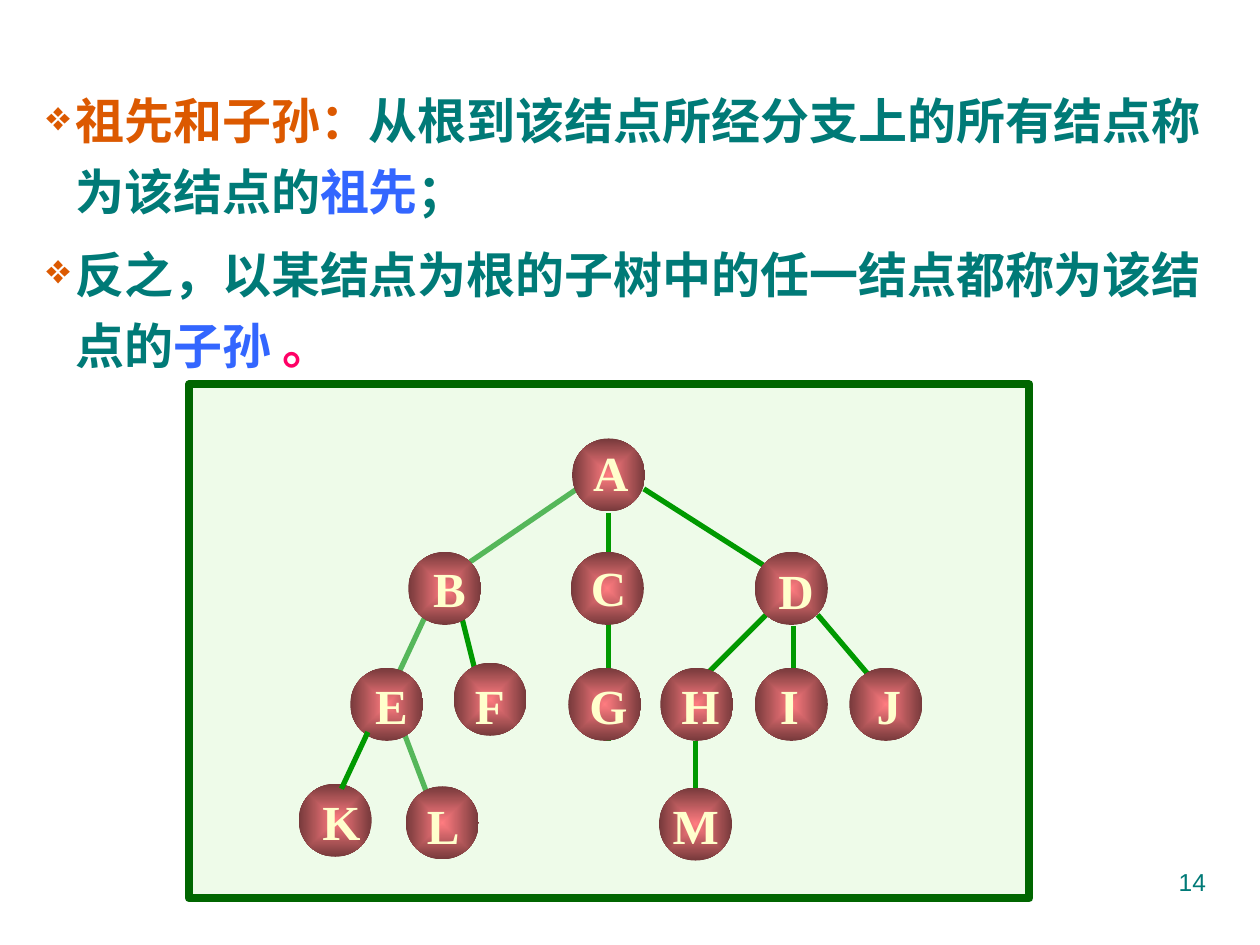
from lxml import etree
from pptx import Presentation
from pptx.dml.color import RGBColor
from pptx.enum.shapes import MSO_CONNECTOR, MSO_SHAPE
from pptx.enum.text import MSO_ANCHOR as Anchor, MSO_AUTO_SIZE as AutoSize, PP_ALIGN as Align
from pptx.oxml import parse_xml
from pptx.oxml.ns import nsdecls, qn
from pptx.util import Inches, Pt

TEAL, ORANGE, BLUE, PINK = "007A77", "DC5900", "3366FF", "FF0066"
GREEN, LIGHT_GREEN = "009900", "55B75A"
NODE_SIZE, LABEL_HEIGHT = 0.58, 0.57

DEFINITIONS = [
    [("祖先和子孙：", ORANGE), ("从根到该结点所经分支上的所有结点称为该结点的", TEAL),
     ("祖先", BLUE), ("；", TEAL)],
    [("反之，以某结点为根的子树中的任一结点都称为该结点的", TEAL),
     ("子孙", BLUE), (" 。", PINK)],
]

# letter: node left, node top, label left, label top, label width
NODES = {
    "A": (4.54, 3.48, 4.61, 3.46, 0.48),
    "B": (3.24, 4.38, 3.34, 4.38, 0.46),
    "C": (4.53, 4.38, 4.59, 4.37, 0.48),
    "D": (5.99, 4.38, 6.08, 4.4, 0.48),
    "E": (2.78, 5.3, 2.88, 5.31, 0.46),
    "F": (3.6, 5.26, 3.67, 5.31, 0.44),
    "G": (4.51, 5.3, 4.58, 5.31, 0.5),
    "H": (5.24, 5.3, 5.31, 5.31, 0.5),
    "I": (5.99, 5.3, 6.09, 5.31, 0.35),
    "J": (6.74, 5.3, 6.86, 5.31, 0.39),
    "K": (2.37, 6.22, 2.46, 6.23, 0.5),
    "L": (3.22, 6.24, 3.29, 6.26, 0.46),
    "M": (5.23, 6.25, 5.24, 6.26, 0.56),
}

EDGES = [
    (6.49, 4.88, 6.99, 5.47, GREEN),
    (6.08, 4.88, 5.58, 5.38, GREEN),
    (6.3, 4.97, 6.3, 5.38, GREEN),
    (5.52, 5.88, 5.52, 6.38, GREEN),
    (5.11, 3.88, 6.16, 4.55, GREEN),
    (4.58, 3.88, 3.73, 4.46, LIGHT_GREEN),
    (4.83, 4.07, 4.83, 5.88, GREEN),
    (3.66, 4.88, 3.81, 5.48, GREEN),
    (3.2, 5.8, 3.39, 6.3, LIGHT_GREEN),
    (3.38, 4.88, 3.17, 5.33, LIGHT_GREEN),
]
FRONT_EDGE = (2.92, 5.81, 2.71, 6.26, GREEN)


def rgb(color):
    return RGBColor.from_string(color)


def add_bullet(p):
    pPr = p._p.get_or_add_pPr()
    pPr.set("marL", str(Inches(0.5)))
    pPr.set("indent", str(Inches(-0.23)))
    color = etree.SubElement(pPr, qn("a:buClr"))
    etree.SubElement(color, qn("a:srgbClr"), val=ORANGE)
    etree.SubElement(pPr, qn("a:buSzPct"), val="85000")
    etree.SubElement(pPr, qn("a:buChar"), char="❖")


def add_text(slide, paragraphs, x, y, w, h, size=28, font="Arial", bold=False,
             align=Align.LEFT, anchor=Anchor.TOP, wrap=True, bullet=False,
             line_spacing=None, gap=0):
    tf = slide.shapes.add_textbox(Inches(x), Inches(y), Inches(w), Inches(h)).text_frame
    tf.word_wrap = wrap
    tf.auto_size = AutoSize.NONE
    tf.vertical_anchor = anchor
    for i, runs in enumerate(paragraphs):
        p = tf.add_paragraph() if i else tf.paragraphs[0]
        if bullet:
            add_bullet(p)
        p.alignment = align
        p.line_spacing = line_spacing
        if i:
            p.space_before = Pt(gap)
        for text, color in runs:
            r = p.add_run()
            r.text = text
            r.font.size = Pt(size)
            r.font.name = font
            r.font.bold = bold
            r.font.color.rgb = rgb(color)


def add_frame(slide):
    sp = slide.shapes.add_shape(MSO_SHAPE.RECTANGLE, Inches(1.5), Inches(3.05),
                                Inches(6.67), Inches(4.08))
    sp.shadow.inherit = False
    sp.fill.solid()
    sp.fill.fore_color.rgb = rgb("EEFBE9")
    sp.line.color.rgb = rgb("006600")
    sp.line.width = Pt(4.5)


def add_node(slide, x, y):
    sp = slide.shapes.add_shape(MSO_SHAPE.OVAL, Inches(x), Inches(y),
                                Inches(NODE_SIZE), Inches(NODE_SIZE))
    sp.shadow.inherit = False
    sp.line.fill.background()
    sp.fill.gradient()
    for stop, color in zip(sp.fill.gradient_stops, ("FF7C80", "76393B")):
        stop.color.rgb = rgb(color)
    grad = sp._element.spPr.find(qn("a:gradFill"))
    grad.replace(grad.find(qn("a:lin")), parse_xml(
        f'<a:path {nsdecls("a")} path="rect">'
        '<a:fillToRect l="50000" t="50000" r="50000" b="50000"/></a:path>'))


def add_edge(slide, x1, y1, x2, y2, color):
    line = slide.shapes.add_connector(MSO_CONNECTOR.STRAIGHT, Inches(x1), Inches(y1),
                                      Inches(x2), Inches(y2))
    line.line.color.rgb = rgb(color)
    line.line.width = Pt(3)
    etree.SubElement(line._element.spPr, qn("a:effectLst"))


def add_tree(slide):
    add_frame(slide)
    for edge in EDGES:
        add_edge(slide, *edge)
    for x, y, *_ in NODES.values():
        add_node(slide, x, y)
    for letter, (_, _, x, y, w) in NODES.items():
        add_text(slide, [[(letter, "FFFFCC")]], x, y, w, LABEL_HEIGHT,
                 font="Times New Roman", bold=True, anchor=Anchor.MIDDLE, wrap=False)
    add_edge(slide, *FRONT_EDGE)


def main():
    prs = Presentation()
    prs.slide_width, prs.slide_height = Inches(10), Inches(7.5)
    slide = prs.slides.add_slide(prs.slide_layouts[6])
    add_text(slide, DEFINITIONS, 0, 0.58, 9.75, 2.44, bold=True, bullet=True,
             line_spacing=1.2, gap=7)
    add_text(slide, [[("14", TEAL)]], 7.17, 6.83, 2.5, 0.52, size=14, align=Align.RIGHT)
    add_tree(slide)
    prs.save("out.pptx")


if __name__ == "__main__":
    main()
